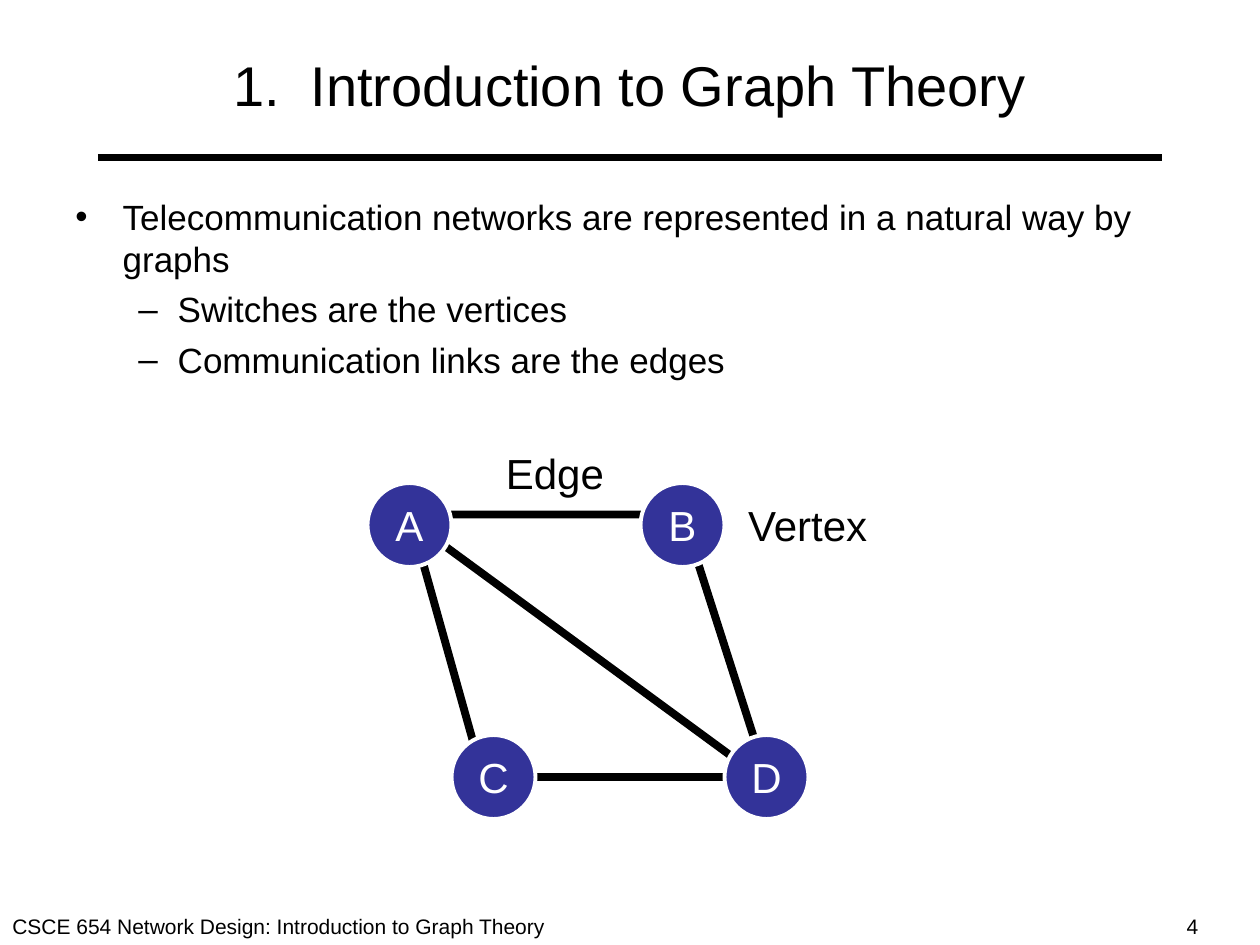
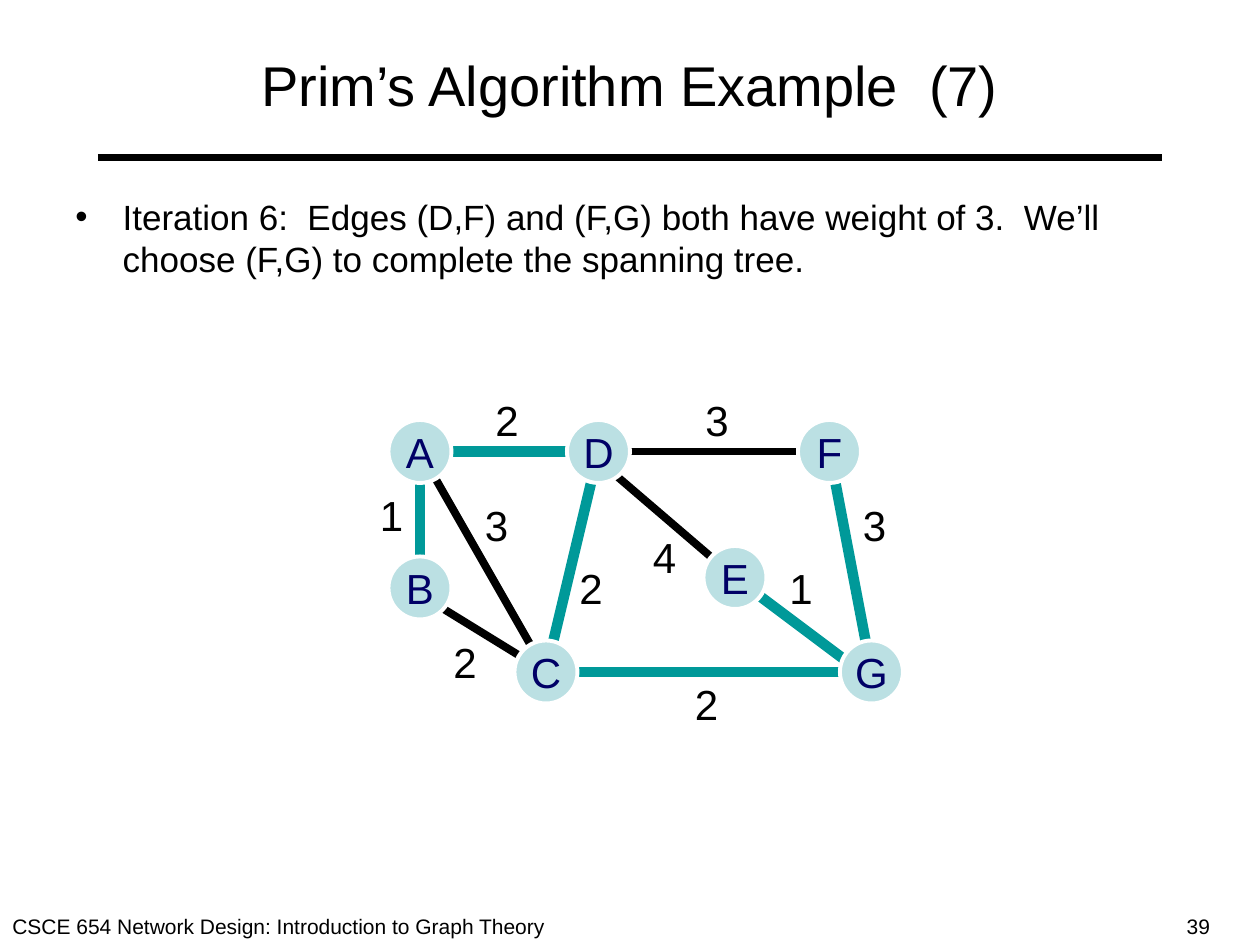
from lxml import etree
from pptx import Presentation
from pptx.dml.color import RGBColor
from pptx.enum import shapes as kinds, text as text_enum
from pptx.oxml.ns import qn
from pptx.util import Pt

BLACK = RGBColor(0x00, 0x00, 0x00)
WHITE = RGBColor(0xFF, 0xFF, 0xFF)
INDIGO = RGBColor(0x33, 0x33, 0x99)
NAVY = RGBColor(0x00, 0x00, 0x66)
PALE_TEAL = RGBColor(0xBB, 0xE0, 0xE3)
TEAL = RGBColor(0x00, 0x99, 0x99)

FONT = "Arial"
LABEL_SIZE = 24
FOOTER = "CSCE 654 Network Design: Introduction to Graph Theory"

# Bullet style by level: character, left margin, hanging indent
BULLETS = [("•", 27, 27), ("–", 58.5, 22.5)]

INTRO = {
    "title": "1.  Introduction to Graph Theory",
    "number": "4",
    "body_height": 187,
    "bullets": [
        (0, "Telecommunication networks are represented in a natural way by graphs"),
        (1, "Switches are the vertices"),
        (1, "Communication links are the edges"),
    ],
}
NETWORK_NODES = {"A": (234, 300), "B": (390, 300), "C": (282, 444), "D": (438, 444)}
NETWORK_OUTLINE = [(234, 294), (390, 294), (438, 444), (276, 444)]
NETWORK_DIAGONAL = ((246, 306), (426, 438))
NETWORK_LABELS = [("Edge", 282, 252, 72), ("Vertex", 420.5, 282, 86)]

PRIM = {
    "title": "Prim’s Algorithm Example  (7)",
    "number": "39",
    "body_height": 374,
    "bullets": [
        (0, "Iteration 6:  Edges (D,F) and (F,G) both have weight of 3.  "
            "We’ll choose (F,G) to complete the spanning tree."),
    ],
}
PRIM_NODES = {
    "A": (240, 258), "B": (240, 336), "C": (312, 384), "D": (342, 258),
    "E": (420, 330), "F": (474, 258), "G": (498, 384),
}
# From, to, shift of the start point, weight, weight position, in the tree
PRIM_EDGES = [
    ("G", "F", 0, "3", (486, 282), True),
    ("G", "E", -6, "1", (444, 318), True),
    ("G", "C", 0, "2", (390, 384), True),
    ("F", "D", 0, "3", (396, 222), False),
    ("C", "D", 0, "2", (324, 318), True),
    ("A", "C", 0, "3", (270, 282), False),
    ("D", "A", 0, "2", (276, 222), True),
    ("B", "A", 0, "1", (210, 276), True),
    ("D", "E", -6, "4", (366, 300), False),
    ("B", "C", -6, "2", (252, 360), False),
]


def style_text(text_frame, size, color=BLACK):
    for paragraph in text_frame.paragraphs:
        for run in paragraph.runs:
            run.font.name = FONT
            run.font.size = Pt(size)
            run.font.color.rgb = color


def add_text(shapes, content, left, top, width, height, size):
    box = shapes.add_textbox(Pt(left), Pt(top), Pt(width), Pt(height))
    box.text_frame.word_wrap = True
    box.text_frame.text = content
    style_text(box.text_frame, size)


def add_line(shapes, start, end, color=BLACK, width=4.5):
    line = shapes.add_connector(
        kinds.MSO_CONNECTOR.STRAIGHT, *(Pt(value) for value in (*start, *end)))
    line.line.color.rgb = color
    line.line.width = Pt(width)
    etree.SubElement(line._element.spPr, qn("a:effectLst"))


def add_node(shapes, name, center, diameter, fill, text_color):
    x, y = center
    node = shapes.add_shape(
        kinds.MSO_SHAPE.OVAL, Pt(x - diameter / 2), Pt(y - diameter / 2),
        Pt(diameter), Pt(diameter))
    node.shadow.inherit = False
    node.fill.solid()
    node.fill.fore_color.rgb = fill
    node.line.color.rgb = WHITE
    node.line.width = Pt(2.25)
    node.text_frame.word_wrap = False
    node.text_frame.vertical_anchor = text_enum.MSO_ANCHOR.MIDDLE
    node.text_frame.text = name
    node.text_frame.paragraphs[0].alignment = text_enum.PP_ALIGN.CENTER
    style_text(node.text_frame, LABEL_SIZE, text_color)


def set_bullet(paragraph, level):
    character, margin, hanging = BULLETS[level]
    paragraph.level = level
    paragraph.space_before = Pt(5)
    properties = paragraph._p.get_or_add_pPr()
    properties.set("marL", str(Pt(margin)))
    properties.set("indent", str(-Pt(hanging)))
    etree.SubElement(properties, qn("a:buFont"), typeface=FONT)
    etree.SubElement(properties, qn("a:buChar"), char=character)


def add_bullets(slide, bullets, height):
    body = slide.shapes.add_textbox(Pt(36), Pt(108), Pt(648), Pt(height))
    body.text_frame.word_wrap = True
    body.text_frame.text = "\n".join(content for _, content in bullets)
    for paragraph, (level, _) in zip(body.text_frame.paragraphs, bullets):
        set_bullet(paragraph, level)
    style_text(body.text_frame, 20)


def add_slide(presentation, content):
    """Add a slide with the shared title, rule, footer and bullet list."""
    slide = presentation.slides.add_slide(presentation.slide_layouts[5])
    title = slide.shapes.title
    title.left, title.top, title.width, title.height = Pt(36), Pt(12), Pt(648), Pt(72)
    title.text_frame.text = content["title"]
    title.text_frame.vertical_anchor = text_enum.MSO_ANCHOR.MIDDLE
    title.text_frame.paragraphs[0].alignment = text_enum.PP_ALIGN.CENTER
    style_text(title.text_frame, 32)
    add_line(slide.shapes, (56, 90), (664, 90))
    add_text(slide.shapes, FOOTER, 0, 518.4, 330, 21.6, 12)
    add_text(slide.shapes, content["number"], 671, 518.4, 49, 21.6, 12)
    add_bullets(slide, content["bullets"], content["body_height"])
    return slide


def draw_network(slide):
    shapes = slide.shapes.add_group_shape().shapes
    corners = [(Pt(x), Pt(y)) for x, y in NETWORK_OUTLINE]
    builder = shapes.build_freeform(*corners[0])
    builder.add_line_segments(corners[1:], close=True)
    outline = builder.convert_to_shape()
    outline.shadow.inherit = False
    outline.fill.background()
    outline.line.color.rgb = BLACK
    outline.line.width = Pt(4.5)
    add_line(shapes, *NETWORK_DIAGONAL)
    for name, center in NETWORK_NODES.items():
        add_node(shapes, name, center, 48, INDIGO, WHITE)
    for label, left, top, width in NETWORK_LABELS:
        add_text(shapes, label, left, top, width, 36, LABEL_SIZE)


def draw_spanning_tree(slide):
    for start, end, shift, _, _, in_tree in PRIM_EDGES:
        x, y = PRIM_NODES[start]
        color, width = (TEAL, 6) if in_tree else (BLACK, 4.5)
        add_line(slide.shapes, (x + shift, y), PRIM_NODES[end], color, width)
    for name, center in PRIM_NODES.items():
        add_node(slide.shapes, name, center, 36, PALE_TEAL, NAVY)
    for _, _, _, weight, (left, top), _ in PRIM_EDGES:
        add_text(slide.shapes, weight, left, top, 28, 36, LABEL_SIZE)


def main():
    presentation = Presentation()
    presentation.slide_width, presentation.slide_height = Pt(720), Pt(540)
    draw_network(add_slide(presentation, INTRO))
    draw_spanning_tree(add_slide(presentation, PRIM))
    presentation.save("out.pptx")


if __name__ == "__main__":
    main()
